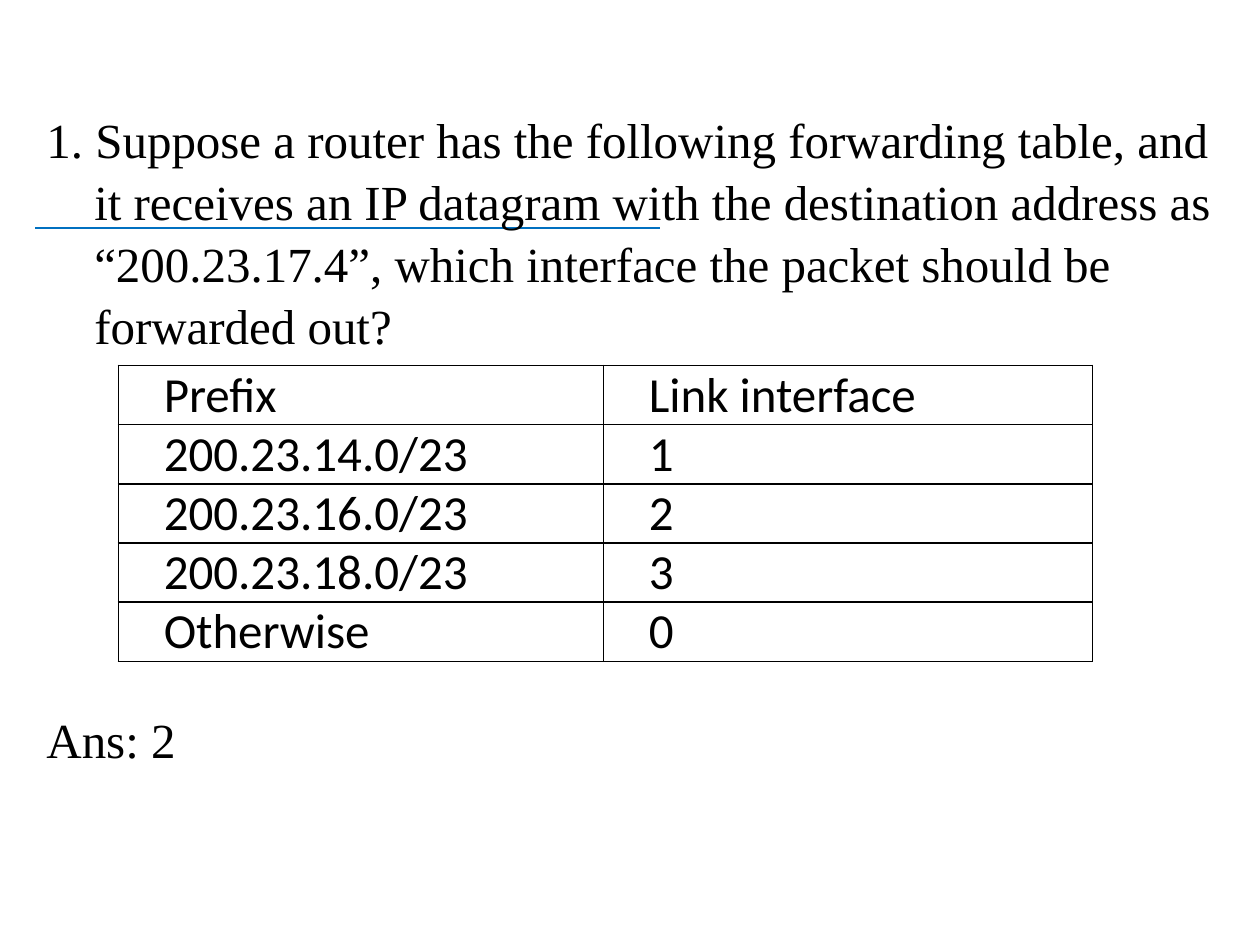
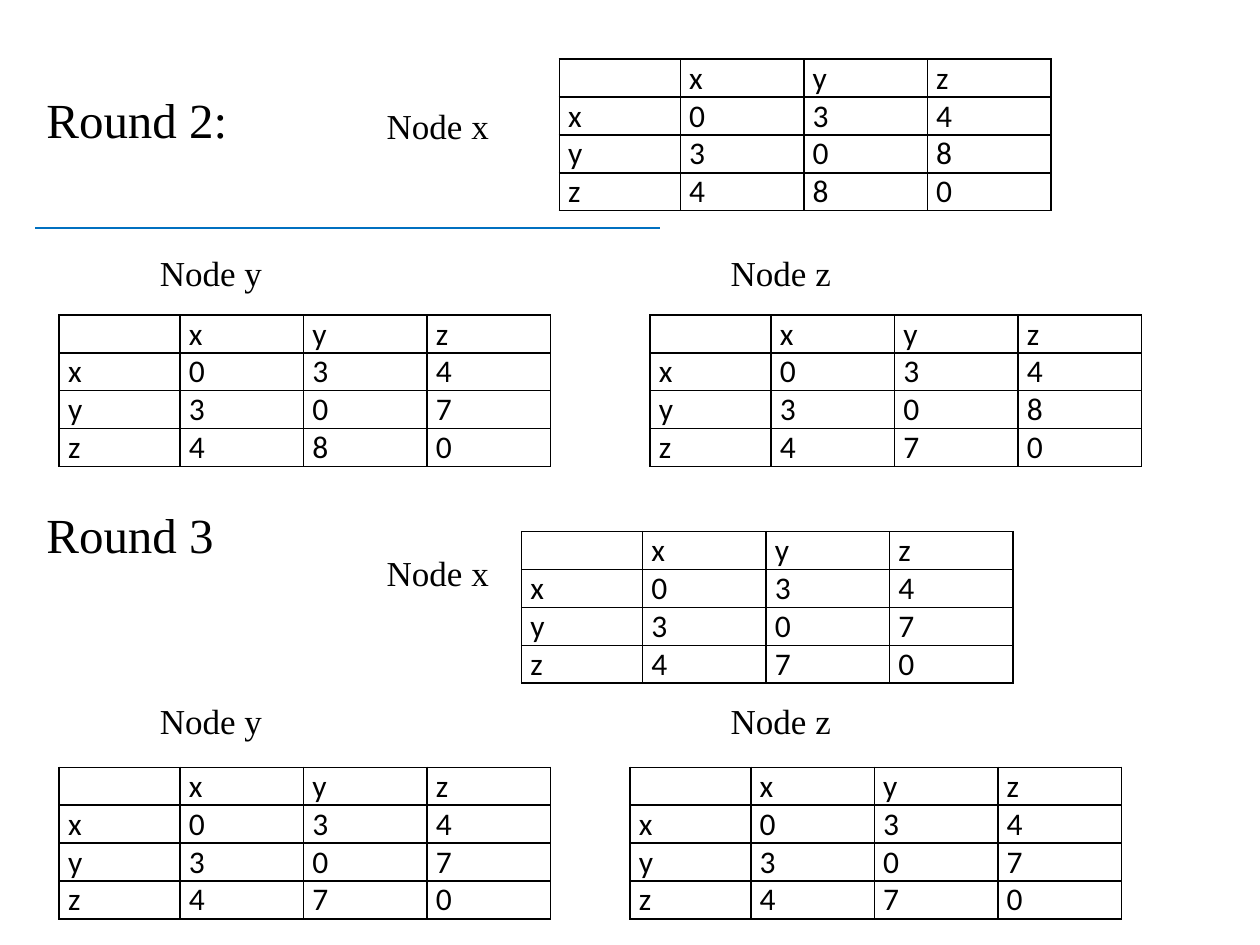
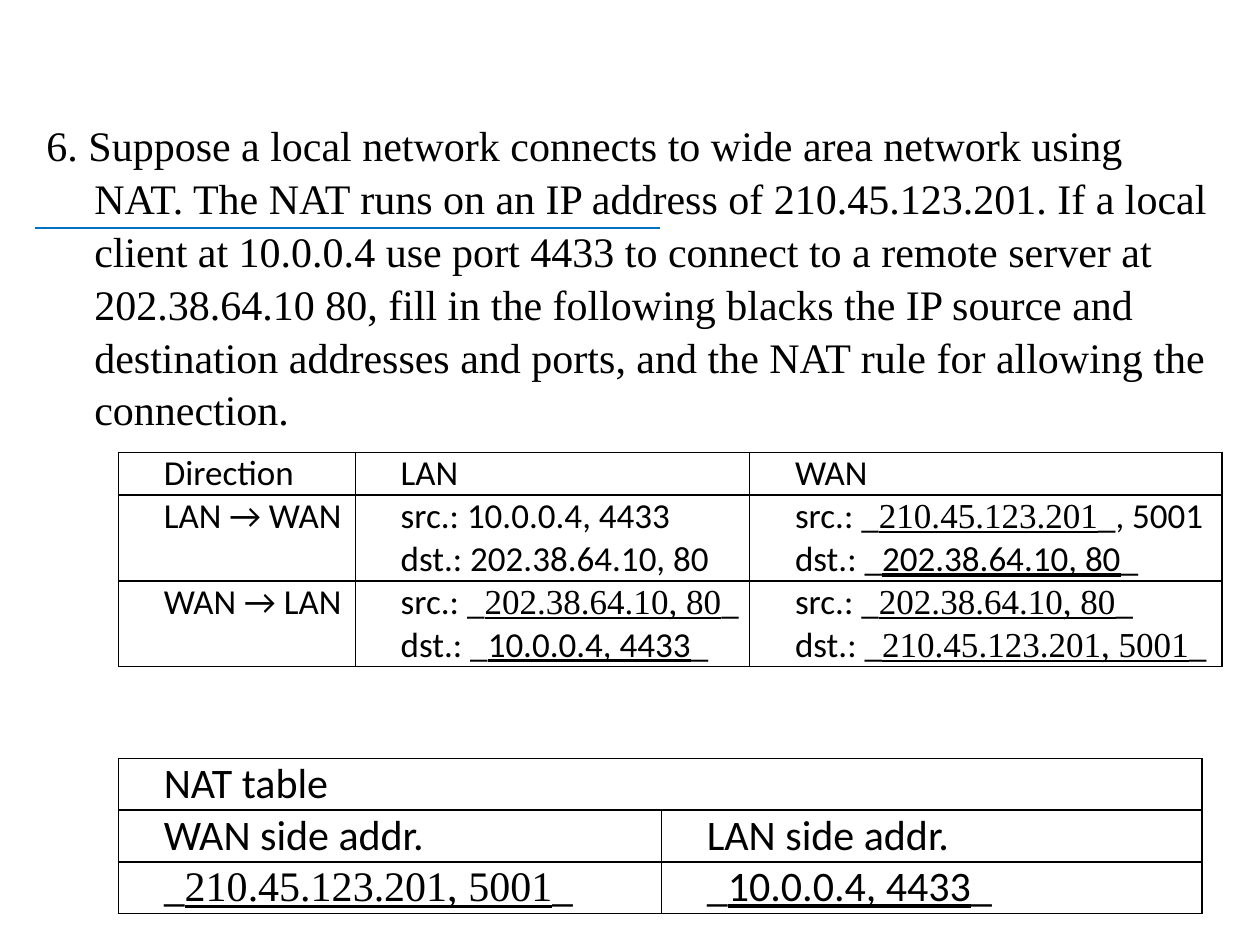
from lxml import etree
from pptx import Presentation
from pptx.dml.color import RGBColor
from pptx.enum import shapes, text
from pptx.oxml import ns
from pptx.util import Inches, Pt

BLACK = RGBColor(0x00, 0x00, 0x00)
BLUE = RGBColor(0x00, 0x70, 0xC0)
SERIF, SANS = "Times New Roman", "Calibri"
BODY_LEFT, BODY_WIDTH = 0.27, 9.52
HANG = 0.38
CELL_INDENT = 0.29
SECTION_GAP = 201.7  # points between the two parts of a body text


def add_text(page, place, lines, size, hang=0.0, wrap=True):
    """Add a serif text box, its later paragraphs one section gap down."""
    box = page.shapes.add_textbox(*[Inches(length) for length in place])
    box.text_frame.word_wrap = wrap
    for number, line in enumerate(lines):
        frame = box.text_frame
        para = frame.add_paragraph() if number else frame.paragraphs[0]
        span = para.add_run()
        span.text = line
        for name, value in {"name": SERIF, "size": Pt(size)}.items():
            setattr(span.font, name, value)
        span.font.color.rgb = BLACK
        if hang:
            para.line_spacing = 1.05
            para.space_before = Pt(SECTION_GAP if number else 0)
            layout = para._p.get_or_add_pPr()
            layout.set("marL", str(Inches(hang)))
            layout.set("indent", str(-Inches(hang)))


def add_grid(page, left, top, widths, heights, rows, size, indent=0.0):
    """Add a ruled table; |text| is underlined and |^text| is also serif."""
    frame = page.shapes.add_table(
        len(rows), len(widths), Inches(left), Inches(top),
        Inches(sum(widths)), Inches(sum(heights)))
    table = frame.table
    table.first_row = table.horz_banding = False
    for column, width in zip(table.columns, widths):
        column.width = Inches(width)
    for row, height, values in zip(table.rows, heights, rows):
        row.height = Inches(height)
        for cell, value in zip(row.cells, values):
            margins = {"margin_left": 0.07, "margin_right": 0.07,
                       "margin_top": 0, "margin_bottom": 0}
            for name, length in margins.items():
                setattr(cell, name, Inches(length))
            cell.fill.background()
            props = cell._tc.get_or_add_tcPr()
            for place, side in enumerate(("lnL", "lnR", "lnT", "lnB")):
                border = etree.Element(ns.qn("a:" + side), w=str(Pt(1)))
                fill = etree.SubElement(border, ns.qn("a:solidFill"))
                etree.SubElement(fill, ns.qn("a:srgbClr"), val=str(BLACK))
                props.insert(place, border)
            for number, line in enumerate(value.split("\n")):
                words = cell.text_frame
                para = words.add_paragraph() if number else words.paragraphs[0]
                para.alignment = text.PP_ALIGN.JUSTIFY
                para._p.get_or_add_pPr().set("indent", str(Inches(indent)))
                for position, piece in enumerate(line.split("|")):
                    if not piece:
                        continue
                    span = para.add_run()
                    span.text = piece.lstrip("^")
                    look = {"name": SERIF if piece.startswith("^") else SANS,
                            "size": Pt(size), "underline": position % 2 == 1}
                    for name, setting in look.items():
                        setattr(span.font, name, setting)
                    span.font.color.rgb = BLACK
    return table


deck = Presentation()
deck.slide_width, deck.slide_height = Inches(10), Inches(7.5)

# Every page has the same blue rule behind its content.
pages = []
for _ in range(3):
    page = deck.slides.add_slide(deck.slide_layouts[6])
    rule = page.shapes.add_connector(
        shapes.MSO_CONNECTOR.STRAIGHT,
        Inches(0.28), Inches(1.81), Inches(5.24), Inches(1.81))
    rule.line.color.rgb = BLUE
    rule.line.width = Pt(1.25)
    etree.SubElement(rule._element.spPr, ns.qn("a:effectLst"))
    pages.append(page)
forwarding, rounds, nat = pages

# Forwarding table question
add_text(forwarding, (BODY_LEFT, 0.8, BODY_WIDTH, 5.93), [
    "1. Suppose a router has the following forwarding table, and it receives "
    "an IP datagram with the destination address as \u201c200.23.17.4\u201d, "
    "which interface the packet should be forwarded out?",
    "Ans: 2"], 28, HANG)
routes = [("Prefix", "Link interface"), ("200.23.14.0/23", "1"),
          ("200.23.16.0/23", "2"), ("200.23.18.0/23", "3"),
          ("Otherwise", "0")]
add_grid(forwarding, 0.94, 2.9, [3.85, 3.88], [0.47] * 5, routes, 28,
         CELL_INDENT)

# Distance vector rounds: label place, table place, then the costs by row
add_text(rounds, (BODY_LEFT, 0.64, BODY_WIDTH, 6.08),
         ["Round 2:", "Round 3"], 28, HANG)
nodes = [
    ("x", 2.97, 0.78, 4.44, 0.47, ("034", "308", "480")),
    ("y", 1.17, 1.95, 0.47, 2.5, ("034", "307", "480")),
    ("z", 5.7, 1.95, 5.16, 2.5, ("034", "308", "470")),
    ("x", 2.97, 4.33, 4.14, 4.22, ("034", "307", "470")),
    ("y", 1.17, 5.5, 0.47, 6.09, ("034", "307", "470")),
    ("z", 5.7, 5.5, 5, 6.09, ("034", "307", "470")),
]
for node, label_left, label_top, left, top, costs in nodes:
    add_text(rounds, (label_left, label_top, 1.02, 0.44), ["Node " + node],
             20, wrap=False)
    vectors = [["", *"xyz"]] + [[name, *cost]
                                for name, cost in zip("xyz", costs)]
    add_grid(rounds, left, top, [0.96] + [0.98] * 3, [0.3] * 4, vectors, 18)

# Address translation question
add_text(nat, (BODY_LEFT, 0.88, BODY_WIDTH, 5.85), [
    "6. Suppose a local network connects to wide area network using NAT. The "
    "NAT runs on an IP address of 210.45.123.201. If a local client at "
    "10.0.0.4 use port 4433 to connect to a remote server at 202.38.64.10 80, "
    "fill in the following blacks the IP source and destination addresses and "
    "ports, and the NAT rule for allowing the connection."], 24, HANG)
directions = [
    ("Direction", "LAN", "WAN"),
    ("LAN \u2192 WAN",
     "src.: 10.0.0.4, 4433\ndst.: 202.38.64.10, 80",
     "src.: _|^210.45.123.201|_, 5001\ndst.: _|202.38.64.10, 80|_"),
    ("WAN \u2192 LAN",
     "src.: _|^202.38.64.10, 80|_\ndst.: _|10.0.0.4, 4433|_",
     "src.: _|^202.38.64.10, 80|_\ndst.: _|^210.45.123.201, 5001|_"),
]
add_grid(nat, 0.94, 3.59, [1.88, 3.13, 3.75], [0.34, 0.68, 0.68], directions,
         20, CELL_INDENT)
translations = [("NAT table", ""), ("WAN side addr.", "LAN side addr."),
                ("_|^210.45.123.201, 5001|_", "_|10.0.0.4, 4433|_")]
nat_table = add_grid(nat, 0.94, 6.02, [4.31, 4.29], [0.41] * 3, translations,
                     24, CELL_INDENT)
nat_table.cell(0, 0).merge(nat_table.cell(0, 1))

deck.save("out.pptx")
